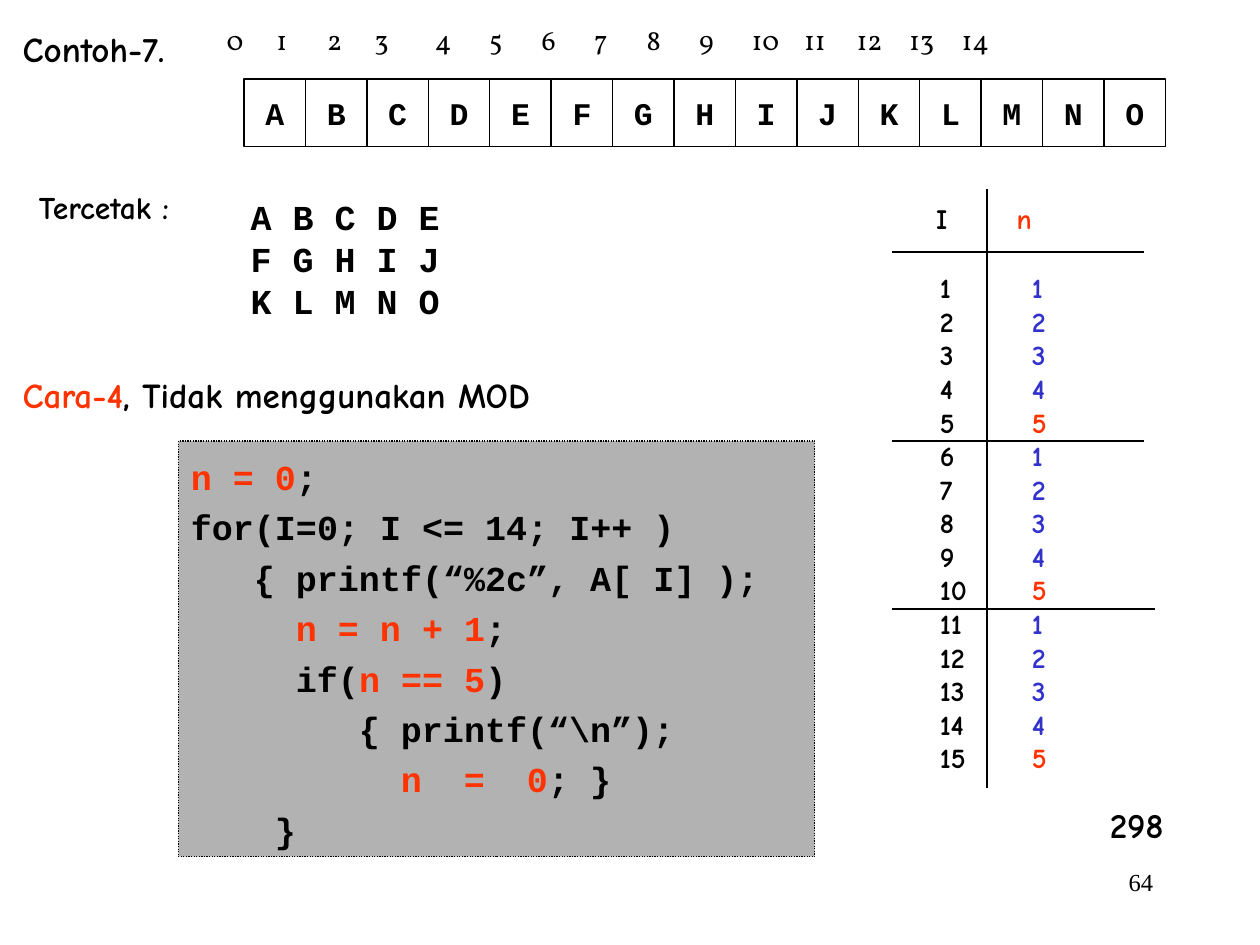
from dataclasses import dataclass

from lxml.etree import SubElement
from pptx import Presentation
from pptx.dml.color import RGBColor
from pptx.enum.dml import MSO_LINE
from pptx.enum.shapes import MSO_CONNECTOR, MSO_SHAPE
from pptx.enum.text import MSO_ANCHOR, PP_ALIGN
from pptx.oxml.ns import qn
from pptx.util import Pt


@dataclass(frozen=True)
class Theme:
    black: RGBColor = RGBColor(0x00, 0x00, 0x00)
    red: RGBColor = RGBColor(0xFF, 0x33, 0x00)
    blue: RGBColor = RGBColor(0x33, 0x33, 0xCC)
    gray: RGBColor = RGBColor(0xB2, 0xB2, 0xB2)
    hand: str = "Comic Neue"
    code: str = "Courier New"
    index: str = "Vollkorn"
    page: str = "Times New Roman"
    large: int = 20
    medium: int = 18
    small: int = 16
    tiny: int = 14
    line: float = 0.75


THEME = Theme()
CODE_CHARACTER = 12  # advance of one code character at the large size
INDEX_TABS = (28.5, 57.5, 84.5, 119, *range(150, 421, 30))
GROUP_SIZE = 5

# Each code line: indent in characters, then its runs; True marks red
CODE_LINES = [
    (0, [("n = 0", True), (";", False)]),
    (0, [("for(I=0; I <= 14; I++ )", False)]),
    (3, [("{ printf(“%2c”, A[ I] );", False)]),
    (5, [("n = n + 1", True), (";", False)]),
    (5, [("if(", False), ("n == 5", True), (")", False)]),
    (8, [("{ printf(“\\n”);", False)]),
    (10, [("n  =  0", True), ("; }", False)]),
    (4, [("}", False)]),
]


def apply_format(target, values):
    for name, value in values.items():
        setattr(target, name, value)


def set_tabs(paragraph, positions):
    tab_list = SubElement(paragraph._p.get_or_add_pPr(), qn("a:tabLst"))
    for position in positions:
        SubElement(tab_list, qn("a:tab"), pos=str(Pt(position)), algn="l")


def write_text(shape, lines, font, size, bold=True, wrap=True,
               anchor=MSO_ANCHOR.TOP, paragraph_format=None):
    """Write lines, each a list of (text, colour) runs; return paragraphs."""
    frame = shape.text_frame
    apply_format(frame, {"word_wrap": wrap, "vertical_anchor": anchor})
    for number, runs in enumerate(lines):
        paragraph = frame.add_paragraph() if number else frame.paragraphs[0]
        apply_format(paragraph, paragraph_format or {})
        for text, color in runs:
            run = paragraph.add_run()
            run.text = text
            apply_format(run.font, {"name": font, "size": Pt(size), "bold": bold})
            run.font.color.rgb = color
    return frame.paragraphs


def add_text(shapes, box, lines, font, size, **options):
    shape = shapes.add_textbox(*map(Pt, box))
    return write_text(shape, lines, font, size, **options)


def add_box(shapes, box, fill=None, dash=None):
    shape = shapes.add_shape(MSO_SHAPE.RECTANGLE, *map(Pt, box))
    shape.shadow.inherit = False
    if fill is None:
        shape.fill.background()
    else:
        shape.fill.solid()
        shape.fill.fore_color.rgb = fill
    apply_format(shape.line, {"width": Pt(THEME.line), "dash_style": dash})
    shape.line.color.rgb = THEME.black
    return shape


def add_rule(shapes, *ends):
    rule = shapes.add_connector(MSO_CONNECTOR.STRAIGHT, *map(Pt, ends))
    rule.line.width = Pt(THEME.line)
    rule.line.color.rgb = THEME.black
    SubElement(rule._element.spPr, qn("a:effectLst"))


def add_array(shapes, letters):
    group = shapes.add_group_shape().shapes
    labels = "\t".join(str(number) for number in range(len(letters)))
    paragraphs = add_text(group, (122.4, 9.4, 558, 26.6), [[(labels, THEME.black)]],
                          THEME.index, THEME.small, bold=False)
    set_tabs(paragraphs[0], INDEX_TABS)
    cell_width = 35.1
    for number, letter in enumerate(letters):
        cell = add_box(group, (139.5 + number * cell_width, 45.2, cell_width, 38.7))
        write_text(cell, [[(letter, THEME.black)]], THEME.code, THEME.medium,
                   wrap=False, anchor=MSO_ANCHOR.MIDDLE,
                   paragraph_format={"alignment": PP_ALIGN.CENTER})


def add_trace(shapes, count):
    # Heading and the two columns of values
    heading = add_text(shapes, (527.8, 111.6, 90, 26.6),
                       [[("I\t", THEME.black), ("n", THEME.red)]],
                       THEME.hand, THEME.small)
    set_tabs(heading[0], [46])
    steps = [[(str(step + 1), THEME.black)] for step in range(count)]
    values = [step % GROUP_SIZE + 1 for step in range(count)]
    counters = [[(str(value), THEME.red if value == GROUP_SIZE else THEME.blue)]
                for value in values]
    for left, width, lines in ((530, 34, steps), (582.5, 26, counters)):
        add_text(shapes, (left, 151.2, width, 295.2), lines, THEME.hand, THEME.small)
    # Rules between the groups, and between the columns
    for right, top in ((654, 252), (660, 348), (654, 144)):
        add_rule(shapes, 510, top, right, top)
    add_rule(shapes, 564, 108, 564, 450)


def add_code(shapes):
    box = add_box(shapes, (102, 252, 363.6, 237.6), THEME.gray, MSO_LINE.ROUND_DOT)
    lines = [[(text, THEME.red if marked else THEME.black) for text, marked in runs]
             for _, runs in CODE_LINES]
    paragraphs = write_text(box, lines, THEME.code, THEME.large, paragraph_format={
        "alignment": PP_ALIGN.LEFT, "line_spacing": 1.2})
    for paragraph, (indent, _) in zip(paragraphs, CODE_LINES):
        paragraph._p.get_or_add_pPr().set("marL", str(Pt(indent * CODE_CHARACTER)))


def main():
    presentation = Presentation()
    apply_format(presentation, {"slide_width": Pt(720), "slide_height": Pt(540)})
    slide = presentation.slides.add_slide(presentation.slide_layouts[6])
    shapes = slide.shapes
    letters = "ABCDEFGHIJKLMNO"

    # Printed result
    rows = [[(" ".join(letters[start:start + GROUP_SIZE]), THEME.black)]
            for start in range(0, len(letters), GROUP_SIZE)]
    add_text(shapes, (136.1, 108, 126, 79.2), rows, THEME.code, THEME.large)

    add_array(shapes, letters)

    # Headings and labels
    for box, runs, size in (
        ((5.8, 12.2, 126, 31.7), [("Contoh-7.", THEME.black)], THEME.large),
        ((627.1, 455.8, 52, 31.7), [("298", THEME.black)], THEME.large),
        ((15.1, 103.7, 96, 28.8), [("Tercetak :", THEME.black)], THEME.medium),
        ((5.8, 210, 419.8, 31.7),
         [("Cara-4", THEME.red), (", Tidak menggunakan MOD", THEME.black)], THEME.large),
    ):
        add_text(shapes, box, [runs], THEME.hand, size)

    add_trace(shapes, len(letters))
    add_code(shapes)

    # Page number
    add_text(shapes, (516.2, 491.8, 149.8, 36), [[("64", THEME.black)]],
             THEME.page, THEME.tiny, bold=False,
             paragraph_format={"alignment": PP_ALIGN.RIGHT})
    presentation.save("out.pptx")


if __name__ == "__main__":
    main()
